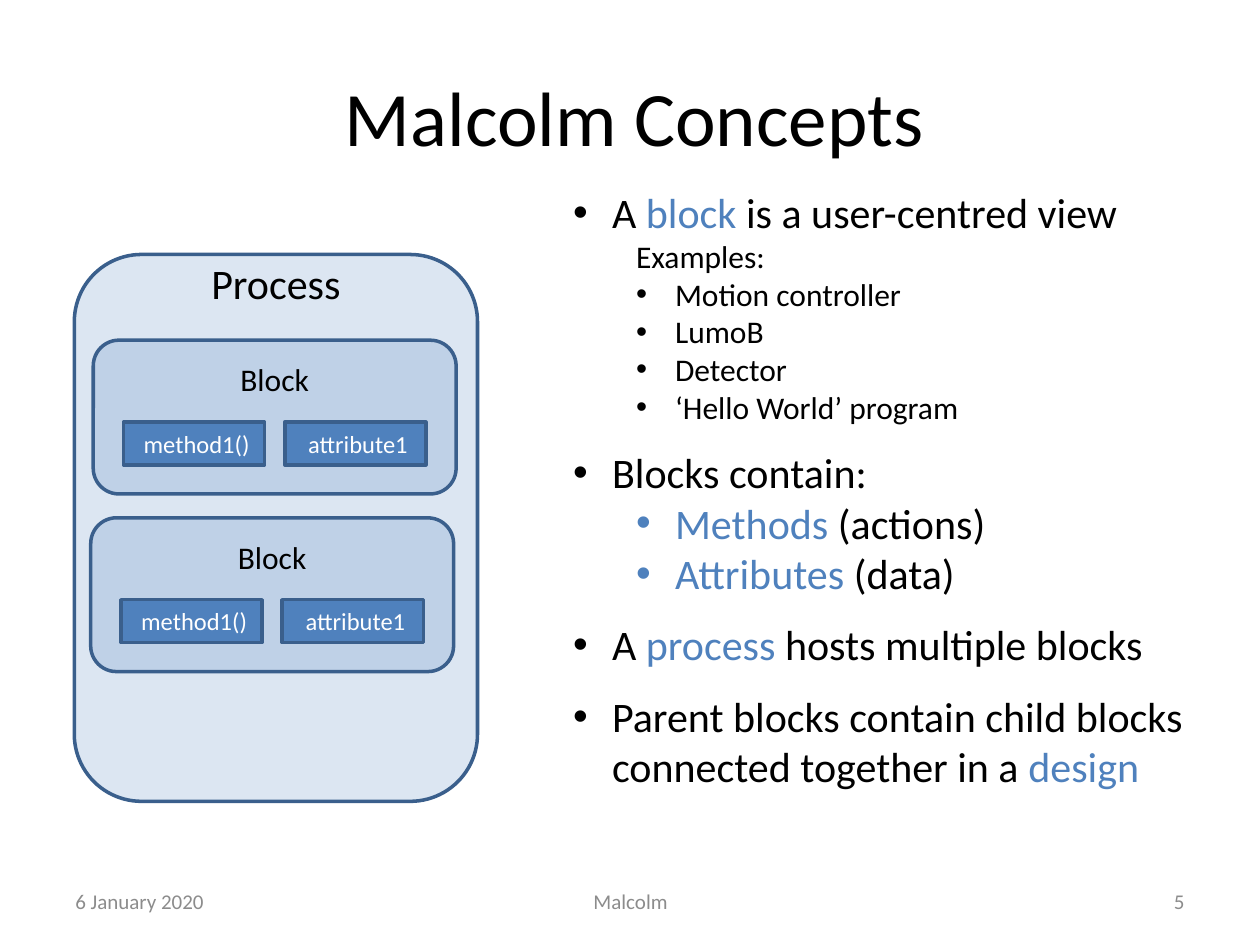
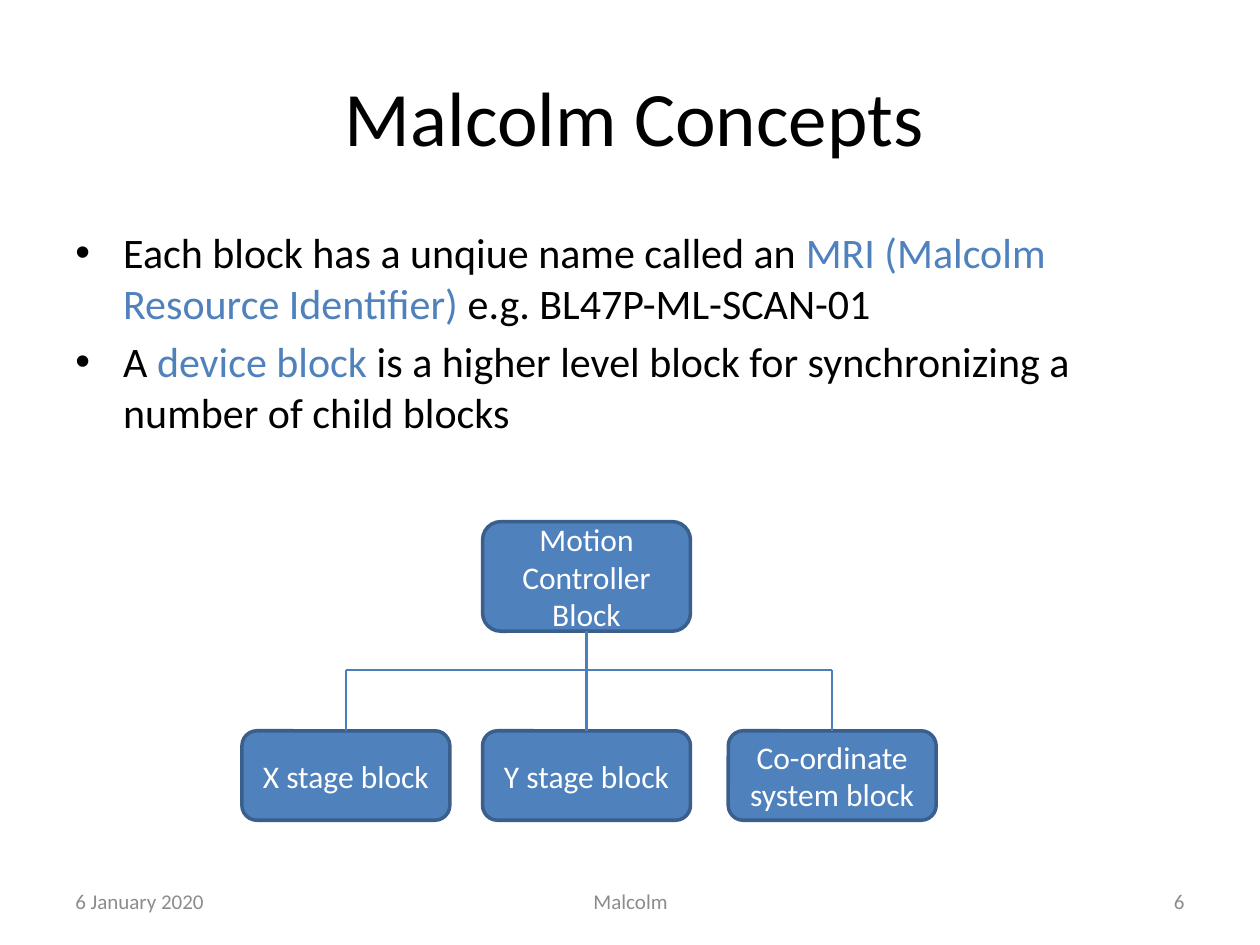
from dataclasses import dataclass
from typing import Optional

from lxml import etree
from pptx import Presentation
from pptx.dml.color import RGBColor
from pptx.enum.shapes import MSO_CONNECTOR, MSO_SHAPE
from pptx.enum.text import MSO_ANCHOR, PP_ALIGN
from pptx.oxml.ns import qn
from pptx.util import Emu, Inches, Pt

LEFT, CENTER, RIGHT = PP_ALIGN.LEFT, PP_ALIGN.CENTER, PP_ALIGN.RIGHT
TOP, MIDDLE = MSO_ANCHOR.TOP, MSO_ANCHOR.MIDDLE
RECT, ROUNDED = MSO_SHAPE.RECTANGLE, MSO_SHAPE.ROUNDED_RECTANGLE
STRAIGHT = MSO_CONNECTOR.STRAIGHT
TOP_SITE, BOTTOM_SITE = 0, 2

BLACK = RGBColor(0x00, 0x00, 0x00)
WHITE = RGBColor(0xFF, 0xFF, 0xFF)
GREY = RGBColor(0x8C, 0x8C, 0x8C)
BLUE = RGBColor(0x4F, 0x81, 0xBD)
PALE_BLUE = RGBColor(0xDC, 0xE6, 0xF2)
OUTLINE = RGBColor(0x3A, 0x5F, 0x8C)
LINK = RGBColor(0x4B, 0x7E, 0xBC)

FONT = "Calibri"
SLIDE_WIDTH, SLIDE_HEIGHT = Inches(10), Inches(7.5)
COLUMNS, ROWS = 100, 75


def across(columns: float) -> Emu:
    return Emu(round(SLIDE_WIDTH * columns / COLUMNS))


def down(rows: float) -> Emu:
    return Emu(round(SLIDE_HEIGHT * rows / ROWS))


@dataclass(frozen=True)
class Area:
    """A rectangle in grid columns and rows."""
    column: float
    row: float
    columns: float
    rows: float

    def emu(self) -> tuple[Emu, Emu, Emu, Emu]:
        return (across(self.column), down(self.row),
                across(self.columns), down(self.rows))


@dataclass(frozen=True)
class Look:
    size: float
    color: RGBColor = BLACK
    align: PP_ALIGN = LEFT
    anchor: MSO_ANCHOR = TOP


@dataclass(frozen=True)
class Point:
    """A paragraph; words between asterisks take the accent colour."""
    text: str
    size: float = 24
    indent: float = 0.31
    hang: float = 0.31
    before: float = 0
    after: float = 0


@dataclass(frozen=True)
class FooterPart:
    area: Area
    align: PP_ALIGN
    text: Optional[str] = None


TITLE = "Malcolm Concepts"
TITLE_AREA = Area(16.9, 2.9, 66.9, 12.5)
TITLE_LOOK = Look(44, BLACK, CENTER, MIDDLE)
FOOTER = [
    FooterPart(Area(5, 69.5, 23.3, 4), LEFT, "6 January 2020"),
    FooterPart(Area(34.2, 69.5, 31.7, 4), CENTER, "Malcolm"),
    FooterPart(Area(71.7, 69.5, 23.3, 4), RIGHT),
]

CHIP_LOOK = Look(14, WHITE, CENTER, MIDDLE)
BLOCK_LOOK = Look(18, BLACK, CENTER, TOP)
NODE_LOOK = Look(18, WHITE, CENTER, MIDDLE)
CHIPS = ["method1()", "attribute1"]
BLOCK_CORNERS = [(7.4, 27), (7.2, 41.1)]

CONCEPTS = [
    Point("A *block* is a user-centred view"),
    Point("Examples:", 18, 0.5, 0),
    Point("Motion controller", 18, 0.81),
    Point("LumoB", 18, 0.81),
    Point("Detector", 18, 0.81),
    Point("‘Hello World’ program", 18, 0.81, after=12),
    Point("Blocks contain:"),
    Point("*Methods *(actions)", indent=0.81),
    Point("*Attributes* (data)", indent=0.81, after=12),
    Point("A *process* hosts multiple blocks", after=12),
    Point("Parent blocks contain child blocks connected together in a *design*"),
]
NAMING = [
    Point("Each block has a unqiue name called an *MRI (Malcolm Resource Identifier) *"
          "e.g. BL47P-ML-SCAN-01", indent=0.38, hang=0.38, before=4.8),
    Point("A *device block *is a higher level block for synchronizing a number of "
          "child blocks", indent=0.38, hang=0.38, before=4.8),
]

NODE_COLUMNS = 16.5
PARENT_AREA = Area(38.3, 41.4, NODE_COLUMNS, 8.7)
CHILDREN = [(19.2, "X stage block"), (38.3, "Y stage block"),
            (57.8, "Co-ordinate system block")]
CHILD_ROW, CHILD_ROWS, BAR_ROW = 58, 7.1, 53.2


def write(shape, text: str, look: Look) -> None:
    frame = shape.text_frame
    frame.word_wrap = True
    frame.vertical_anchor = look.anchor
    paragraph = frame.paragraphs[0]
    paragraph.text = text
    paragraph.alignment = look.align
    set_font(paragraph.font, look.size, look.color)


def set_font(font, size: float, color: RGBColor) -> None:
    font.name, font.size = FONT, Pt(size)
    font.color.rgb = color


def add_label(slide, area: Area, text: str, look: Look) -> None:
    write(slide.shapes.add_textbox(*area.emu()), text, look)


def add_box(slide, kind: MSO_SHAPE, area: Area, fill: RGBColor,
            opacity: Optional[int] = None):
    """Add an outlined shape; opacity is a percentage."""
    box = slide.shapes.add_shape(kind, *area.emu())
    box.shadow.inherit = False
    box.fill.solid()
    box.fill.fore_color.rgb = fill
    box.line.color.rgb = OUTLINE
    box.line.width = Pt(2)
    if opacity is not None:
        color = box.fill._xPr.find(qn("a:solidFill"))[0]
        etree.SubElement(color, qn("a:alpha"), val=str(opacity * 1000))
    return box


def add_points(slide, area: Area, points: list[Point]) -> None:
    frame = slide.shapes.add_textbox(*area.emu()).text_frame
    frame.word_wrap = True
    for number, point in enumerate(points):
        paragraph = frame.add_paragraph() if number else frame.paragraphs[0]
        paragraph.space_before = Pt(point.before)
        paragraph.space_after = Pt(point.after)
        properties = paragraph._p.get_or_add_pPr()
        properties.set("marL", str(Inches(point.indent)))
        properties.set("indent", str(-Inches(point.hang)))
        if point.hang:
            etree.SubElement(properties, qn("a:buFont"), typeface="Arial")
            etree.SubElement(properties, qn("a:buChar"), char="•")
        for part, words in enumerate(point.text.split("*")):
            if words:
                run = paragraph.add_run()
                run.text = words
                set_font(run.font, point.size, BLUE if part % 2 else BLACK)


def add_link(slide, start: tuple[float, float], end: tuple[float, float]):
    link = slide.shapes.add_connector(
        STRAIGHT, across(start[0]), down(start[1]), across(end[0]), down(end[1]))
    link.line.color.rgb = LINK
    link.line.width = Pt(1.25)
    etree.SubElement(link._element.spPr, qn("a:effectLst"))
    return link


def add_block(slide, column: float, row: float) -> None:
    """Add a block that holds a method and an attribute."""
    block = add_box(slide, ROUNDED, Area(column, row, 28.8, 12.2), BLUE, 20)
    write(block, "Block", BLOCK_LOOK)
    block.text_frame.margin_top = down(1)
    for number, name in enumerate(CHIPS):
        area = Area(column + 2.4 + 12.8 * number, row + 6.5, 11.2, 3.4)
        chip = add_box(slide, RECT, area, BLUE)
        write(chip, name, CHIP_LOOK)
        chip.text_frame.margin_left = across(1.4)


def add_concept_slide(prs, number: int):
    """Add a slide with the shared title and footer."""
    slide = prs.slides.add_slide(prs.slide_layouts.get_by_name("Title Only"))
    title = slide.shapes.title
    title.left, title.top, title.width, title.height = TITLE_AREA.emu()
    write(title, TITLE, TITLE_LOOK)
    for part in FOOTER:
        add_label(slide, part.area, part.text or str(number),
                  Look(12, GREY, part.align, MIDDLE))
    return slide


def build_process_slide(prs) -> None:
    slide = add_concept_slide(prs, 5)
    add_box(slide, ROUNDED, Area(5.9, 20.2, 32, 43.4), PALE_BLUE)
    add_label(slide, Area(5.9, 19.9, 32, 5), "Process", Look(24, BLACK, CENTER, MIDDLE))
    for column, row in BLOCK_CORNERS:
        add_block(slide, column, row)
    add_points(slide, Area(44.5, 14.3, 52, 49.5), CONCEPTS)


def build_device_slide(prs) -> None:
    slide = add_concept_slide(prs, 6)
    add_points(slide, Area(5, 17.5, 90, 18.4), NAMING)

    parent = add_box(slide, ROUNDED, PARENT_AREA, BLUE)
    write(parent, "Motion Controller Block", NODE_LOOK)
    centres = [column + NODE_COLUMNS / 2 for column, _ in CHILDREN]
    add_link(slide, (centres[0], BAR_ROW), (centres[-1], BAR_ROW))
    for centre, (column, name) in zip(centres, CHILDREN):
        child = add_box(slide, ROUNDED,
                        Area(column, CHILD_ROW, NODE_COLUMNS, CHILD_ROWS), BLUE)
        write(child, name, NODE_LOOK)
        drop = add_link(slide, (centre, BAR_ROW), (centre, CHILD_ROW))
        if column == PARENT_AREA.column:
            drop.begin_connect(parent, BOTTOM_SITE)
        drop.end_connect(child, TOP_SITE)


def main() -> None:
    prs = Presentation()
    prs.slide_width, prs.slide_height = SLIDE_WIDTH, SLIDE_HEIGHT
    build_process_slide(prs)
    build_device_slide(prs)
    prs.save("out.pptx")


if __name__ == "__main__":
    main()
